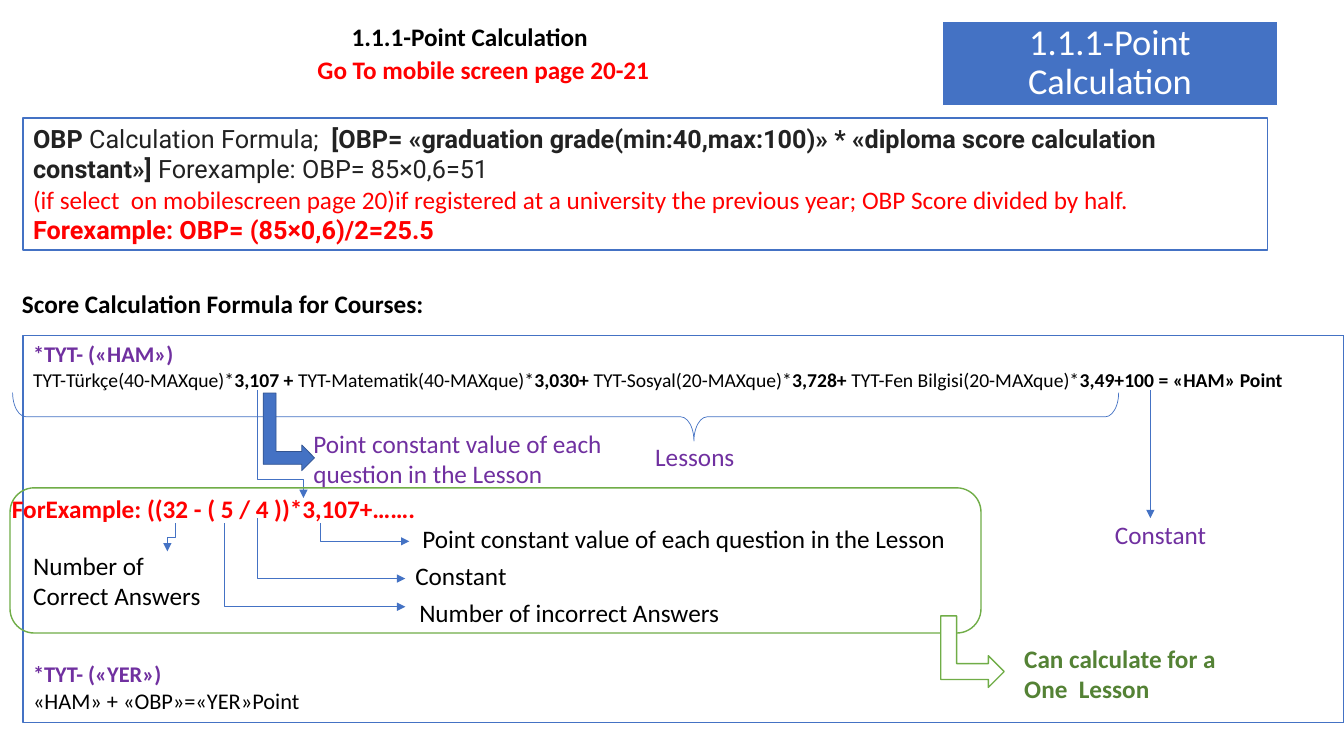
from lxml import etree
from pptx import Presentation
from pptx.dml.color import RGBColor
from pptx.enum.shapes import MSO_CONNECTOR, MSO_SHAPE
from pptx.enum.text import MSO_ANCHOR, MSO_AUTO_SIZE, PP_ALIGN
from pptx.oxml.ns import qn
from pptx.util import Inches, Pt

RECT, ROUND = MSO_SHAPE.RECTANGLE, MSO_SHAPE.ROUNDED_RECTANGLE
BRACE, BENT = MSO_SHAPE.RIGHT_BRACE, MSO_SHAPE.BENT_UP_ARROW
STRAIGHT, ELBOW = MSO_CONNECTOR.STRAIGHT, MSO_CONNECTOR.ELBOW
TOP, MIDDLE = MSO_ANCHOR.TOP, MSO_ANCHOR.MIDDLE
LEFT, CENTER = PP_ALIGN.LEFT, PP_ALIGN.CENTER
FIXED = MSO_AUTO_SIZE.NONE

BLUE, GREEN, WHITE, BLACK = "4472C4", "70AD47", "FFFFFF", "000000"
RED, PURPLE, GRAY, MOSS = "FF0000", "7030A0", "222222", "548235"


def color(code):
    return RGBColor.from_string(code)


def put(item, form):
    for key, value in form.items():
        setattr(item, key, value)


def add_run(para, text, size=18, code=BLACK, bold=False, face="Calibri"):
    run = para.add_run()
    run.text = text
    put(run.font, {"size": Pt(size), "bold": bold, "name": face})
    run.font.color.rgb = color(code)


def write(shape, paras, align=LEFT, anchor=TOP, **form):
    frame = shape.text_frame
    put(frame, {"word_wrap": True, "auto_size": FIXED, "vertical_anchor": anchor})
    for i, runs in enumerate(paras):
        para = frame.add_paragraph() if i else frame.paragraphs[0]
        put(para, {"alignment": align, **form})
        for run in runs:
            add_run(para, *run)
    return frame


def add_label(slide, box, text, code=BLACK, bold=False, align=LEFT):
    shape = slide.shapes.add_textbox(*map(Inches, box))
    write(shape, [[(text, 18, code, bold)]], align)


def add_box(slide, kind, box, fill, line, width=1, turn=0, adjust=()):
    shape = slide.shapes.add_shape(kind, *map(Inches, box))
    shape.shadow.inherit = False
    shape.rotation = turn
    for i, value in enumerate(adjust):
        shape.adjustments[i] = value
    if fill:
        shape.fill.solid()
        shape.fill.fore_color.rgb = color(fill)
    else:
        shape.fill.background()
    shape.line.color.rgb = color(line)
    shape.line.width = Pt(width)
    return shape


def add_arrow(slide, start, end, bend=None, upright=False):
    (x1, y1), (x2, y2) = start, end
    if upright:
        wide, high = abs(y2 - y1), abs(x2 - x1)
        x1, y1 = (x1 + x2 - wide) / 2, (y1 + y2 - high) / 2
        x2, y2 = x1 + wide, y1 + high
    kind = STRAIGHT if bend is None else ELBOW
    link = slide.shapes.add_connector(kind, *map(Inches, (x1, y1, x2, y2)))
    link.line.color.rgb = color(BLUE)
    link.line.width = Pt(0.5)
    props = link._element.spPr
    if upright:
        left = end[0] < start[0]
        props.xfrm.set("rot", "5400000" if left else "16200000")
        if not left:
            props.xfrm.set("flipH", "1")
    if bend is not None:
        guides = props.find(qn("a:prstGeom")).find(qn("a:avLst"))
        rule = f"val {round(bend * 100000)}"
        etree.SubElement(guides, qn("a:gd"), name="adj1", fmla=rule)
    etree.SubElement(props.find(qn("a:ln")), qn("a:tailEnd"), type="triangle")
    etree.SubElement(props, qn("a:effectLst"))


def add_head(slide):
    title = slide.shapes.title
    put(title, dict(zip(("left", "top", "width", "height"),
                        map(Inches, (0.68, 0.2, 7.96, 0.37)))))
    name = "1.1.1-Point Calculation"
    write(title, [[(name, 18, BLACK, True)]], CENTER, line_spacing=0.9)
    banner = add_box(slide, RECT, (9.35, 0.21, 3.32, 0.84), BLUE, WHITE)
    frame = write(banner, [[(name, 26, WHITE)]], CENTER, MIDDLE, line_spacing=0.9)
    sides = ("left", "right", "top", "bottom")
    put(frame, {f"margin_{side}": Inches(0.02) for side in sides})
    add_label(slide, (2.6, 0.49, 4.39, 0.4), "Go To mobile screen page 20-21",
              RED, True, CENTER)
    add_label(slide, (0.12, 2.81, 5.06, 0.4),
              "Score Calculation Formula for Courses:", BLACK, True)


def add_panels(slide):
    grade = add_box(slide, RECT, (0.23, 1.17, 12.34, 1.31), WHITE, BLUE)
    write(grade, [
        [("OBP ", 18, GRAY, True, "Roboto"),
         ("Calculation Formula;  ", 18, GRAY, False, "Roboto"),
         ("[OBP= «graduation grade(min:40,max:100)» * "
          "«diploma score calculation constant»] ", 18, GRAY, True, "Roboto"),
         ("Forexample: OBP= 85×0,6=51", 18, GRAY, False, "Roboto")],
        [("(if select  on mobilescreen page 20)if registered at a university "
          "the previous year; OBP Score divided by half. ", 18, RED),
         ("Forexample: OBP= (85×0,6)/2=25.5", 18, RED, True, "Roboto")],
    ], anchor=MIDDLE)
    terms = [("TYT-Türkçe(40-MAXque)*", "3,107 +"),
             (" TYT-Matematik(40-MAXque)*", "3,030+"),
             (" TYT-Sosyal(20-MAXque)*", "3,728+"),
             (" TYT-Fen Bilgisi(20-MAXque)*", "3,49+100 = «HAM» Point")]
    sums = [(text, 14, BLACK, bold)
            for term in terms for text, bold in zip(term, (False, True))]
    score = add_box(slide, RECT, (0.23, 3.33, 13.1, 3.84), WHITE, BLUE)
    frame = write(score, [[("*TYT- («HAM»)", 16, PURPLE, True)], sums,
                          [("*TYT- («YER»)", 16, PURPLE, True)],
                          [("«HAM» + «OBP»=«YER»Point", 16)]])
    frame.paragraphs[2].space_before = Pt(192)


def add_marks(slide):
    add_box(slide, BRACE, (5.37, -1.35, 0.48, 10.97), None, BLUE, 0.5, 90,
            (0.277, 0.384))
    for start, end in (((3.18, 5.19), (4.06, 5.37)),
                       ((2.55, 5.14), (4.02, 5.74)),
                       ((2.23, 5.19), (4.02, 6.02))):
        add_arrow(slide, start, end, 0)
    add_arrow(slide, (1.74, 5.19), (1.66, 5.47), 0.5, True)
    add_arrow(slide, (2.55, 3.87), (3.01, 4.94), 0.83, True)
    add_arrow(slide, (11.41, 3.87), (11.41, 5.14))
    add_box(slide, BENT, (2.48, 4.03, 0.77, 0.51), BLUE, "325491", 0.5, 90)
    add_box(slide, ROUND, (0.1, 4.84, 9.63, 1.44), None, GREEN)
    add_box(slide, BENT, (9.29, 6.15, 0.71, 0.63), WHITE, GREEN, 1, 90)


def add_notes(slide):
    point = "Point constant value of each question in the Lesson"
    for box, *form in (
        ((0.23, 5.41, 2.01, 0.71), "Number of Correct Answers"),
        ((4.09, 5.14, 5.51, 0.4), point),
        ((4.02, 5.51, 4.62, 0.4), "Constant"),
        ((4.06, 5.88, 4.62, 0.4), "Number of incorrect Answers"),
        ((3.01, 4.2, 3.09, 0.71), point, PURPLE),
        ((6.4, 4.33, 1.04, 0.4), "Lessons", PURPLE),
        ((10.96, 5.1, 1.16, 0.4), "Constant", PURPLE),
        ((0.02, 4.84, 4.29, 0.4), "ForExample: ((32 - ( 5 / 4 ))*3,107+…….",
         RED, True),
        ((10.06, 6.33, 2.31, 0.71), "Can calculate for a One  Lesson", MOSS, True),
    ):
        add_label(slide, box, *form)


def main():
    deck = Presentation()
    put(deck, {"slide_width": Inches(13.33), "slide_height": Inches(7.5)})
    slide = deck.slides.add_slide(deck.slide_layouts[5])
    add_head(slide)
    add_panels(slide)
    add_marks(slide)
    add_notes(slide)
    deck.save("out.pptx")


if __name__ == "__main__":
    main()
